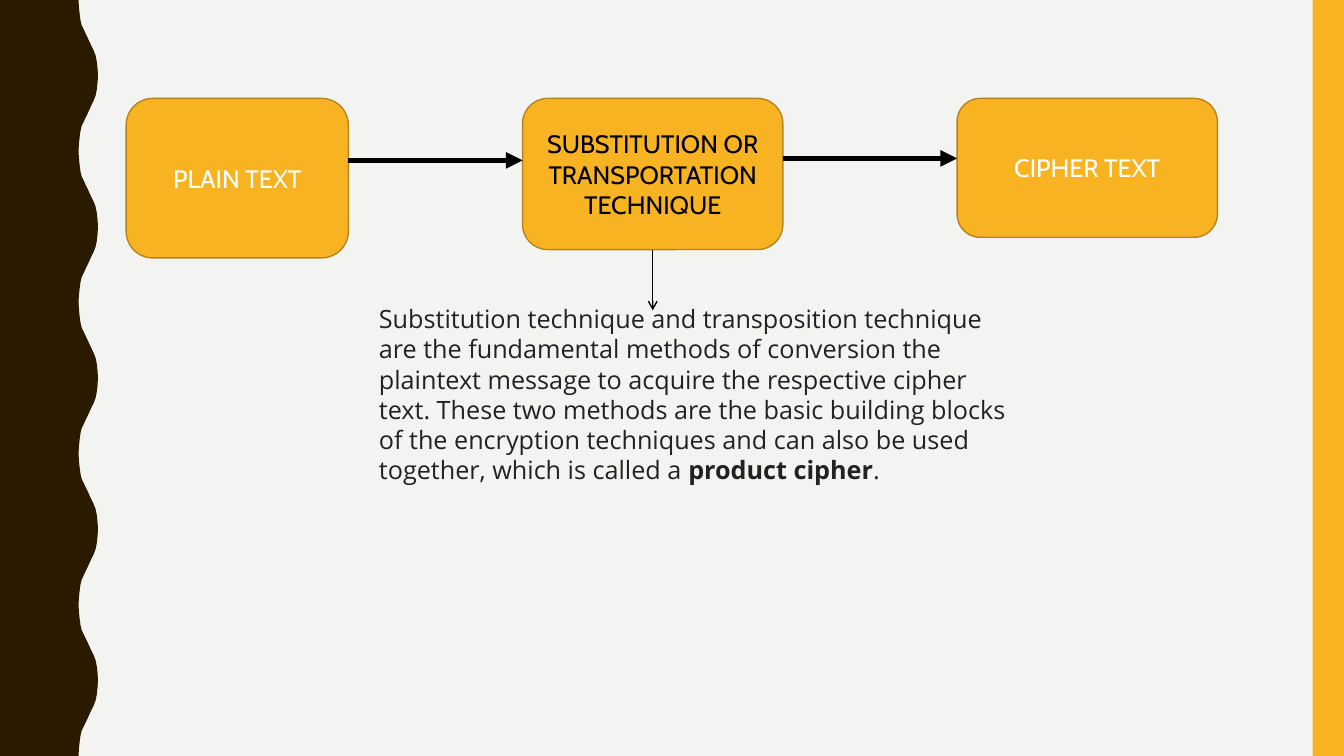
from dataclasses import dataclass

from lxml import etree
from pptx import Presentation
from pptx import util as u
from pptx.dml import color
from pptx.enum import shapes, text
from pptx.oxml import ns


@dataclass(frozen=True)
class Theme:
    background: str = "F3F3F2"
    accent: str = "F8B323"
    outline: str = "B7841A"
    dark: str = "2A1A00"
    body: str = "222222"
    black: str = "000000"
    white: str = "FFFFFF"
    box_font: str = "Cabin"
    body_font: str = "Open Sans"
    text_size: int = 18


class SlideBuilder:
    def __init__(self, slide, theme):
        self.slide, self.theme = slide, theme
        self.paint(slide.background.fill, theme.background)

    def paint(self, fill, hex_color):
        fill.solid()
        fill.fore_color.rgb = color.RGBColor.from_string(hex_color)

    def style(self, shape, fill, outline=None):
        shape.shadow.inherit = False
        self.paint(shape.fill, fill)
        if outline:
            self.paint(shape.line.fill, outline)
            shape.line.width = u.Pt(1)
        else:
            shape.line.fill.background()

    def add_run(self, paragraph, words, font, hex_color, bold=False):
        run = paragraph.add_run()
        run.text = words
        run.font.name = font
        run.font.size = u.Pt(self.theme.text_size)
        run.font.bold = bold
        run.font.color.rgb = color.RGBColor.from_string(hex_color)

    def shape(self, kind, left, top, width, height, fill, outline=None):
        shape = self.slide.shapes.add_shape(
            kind, u.Cm(left), u.Cm(top), u.Cm(width), u.Cm(height))
        self.style(shape, fill, outline)
        return shape

    def box(self, words, left, top, width, height, text_color):
        box = self.shape(shapes.MSO_SHAPE.ROUNDED_RECTANGLE, left, top, width, height,
                         self.theme.accent, self.theme.outline)
        box.text_frame.vertical_anchor = text.MSO_ANCHOR.MIDDLE
        paragraph = box.text_frame.paragraphs[0]
        paragraph.alignment = text.PP_ALIGN.CENTER
        self.add_run(paragraph, words, self.theme.box_font, text_color)

    def outline(self, points, fill):
        points = [(u.Cm(x), u.Cm(y)) for x, y in points]
        builder = self.slide.shapes.build_freeform(*points[0])
        builder.add_line_segments(points[1:], close=True)
        self.style(builder.convert_to_shape(), fill)

    def arrow(self, start, end, width, head):
        arrow = self.slide.shapes.add_connector(
            shapes.MSO_CONNECTOR.STRAIGHT, *(u.Cm(value) for value in start + end))
        self.paint(arrow.line.fill, self.theme.black)
        arrow.line.width = u.Pt(width)
        etree.SubElement(arrow.line._get_or_add_ln(), ns.qn("a:tailEnd"), type=head)
        etree.SubElement(arrow._element.spPr, ns.qn("a:effectLst"))

    def text(self, runs, left, top, width, height):
        frame = self.slide.shapes.add_textbox(
            u.Cm(left), u.Cm(top), u.Cm(width), u.Cm(height)).text_frame
        frame.word_wrap = True
        for words, bold in runs:
            self.add_run(frame.paragraphs[0], words, self.theme.body_font,
                         self.theme.body, bold)


WIDTH, HEIGHT = 33.87, 19.05
theme = Theme()
presentation = Presentation()
presentation.slide_width, presentation.slide_height = u.Cm(WIDTH), u.Cm(HEIGHT)
builder = SlideBuilder(presentation.slides.add_slide(presentation.slide_layouts[6]), theme)

# Wavy left edge: half a wave, mirrored and repeated five times
WAVES = 5
wave = HEIGHT / WAVES
half_wave = [(1.98, 0), (1.99, 0.18), (2.01, 0.36), (2.03, 0.51), (2.06, 0.64),
             (2.11, 0.74), (2.16, 0.85), (2.21, 0.95), (2.26, 1.06), (2.31, 1.17),
             (2.36, 1.27), (2.41, 1.4), (2.44, 1.55), (2.46, 1.73), (2.47, wave / 2)]
full_wave = half_wave + [(x, wave - y) for x, y in half_wave[-2::-1]]
edge = [(x, y + wave * index) for index in range(WAVES) for x, y in full_wave]
builder.outline([(0, 0)] + edge + [(0, HEIGHT)], theme.dark)

# Right band
BAND = 0.79
builder.shape(shapes.MSO_SHAPE.RECTANGLE, WIDTH - BAND, 0, BAND, HEIGHT, theme.accent)

# Process boxes
TOP = 2.48
plain_left, plain_width = 3.18, 5.6
technique_left, cipher_left, box_width = 13.17, 24.12, 6.56
technique_height = 3.81
builder.box("PLAIN TEXT", plain_left, TOP, plain_width, 4.02, theme.white)
builder.box("SUBSTITUTION OR TRANSPORTATION TECHNIQUE",
            technique_left, TOP, box_width, technique_height, theme.black)
builder.box("CIPHER TEXT", cipher_left, TOP, box_width, 3.5, theme.white)

# Arrows between the boxes
for start, end, y in [(plain_left + plain_width, technique_left, 4.04),
                      (technique_left + box_width, cipher_left, 3.99)]:
    builder.arrow((start, y), (end, y), 4, "triangle")

# Explanation and its arrow
builder.text([
    ("Substitution technique and transposition technique are the fundamental methods "
     "of conversion the plaintext message to acquire the respective cipher text. These "
     "two methods are the basic building blocks of the encryption techniques and can "
     "also be used together, which is called a\u00a0", False),
    ("product cipher", True),
    (".", False),
], 9.3, 7.52, 16.46, 5.64)
technique_center = technique_left + box_width / 2
technique_bottom = TOP + technique_height
builder.arrow((technique_center, technique_bottom),
              (technique_center, technique_bottom + 1.53), 1, "arrow")

presentation.save("out.pptx")
